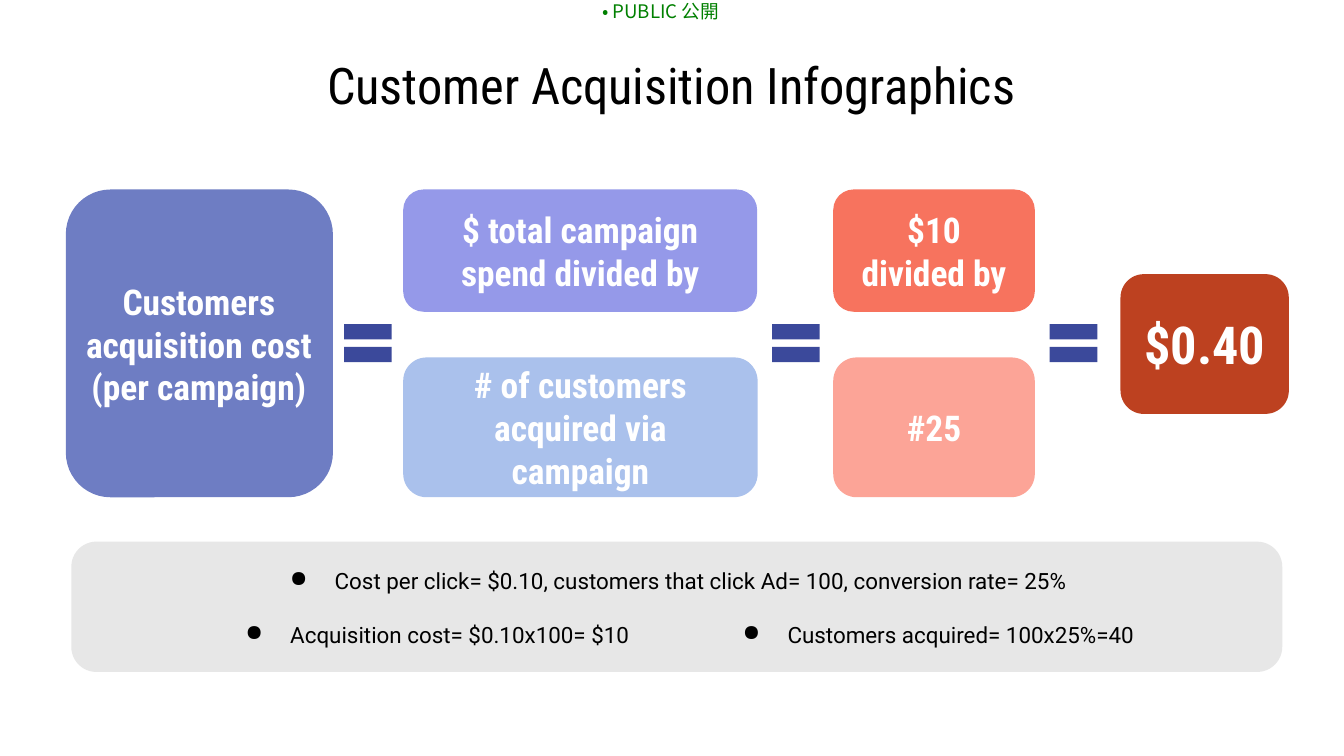
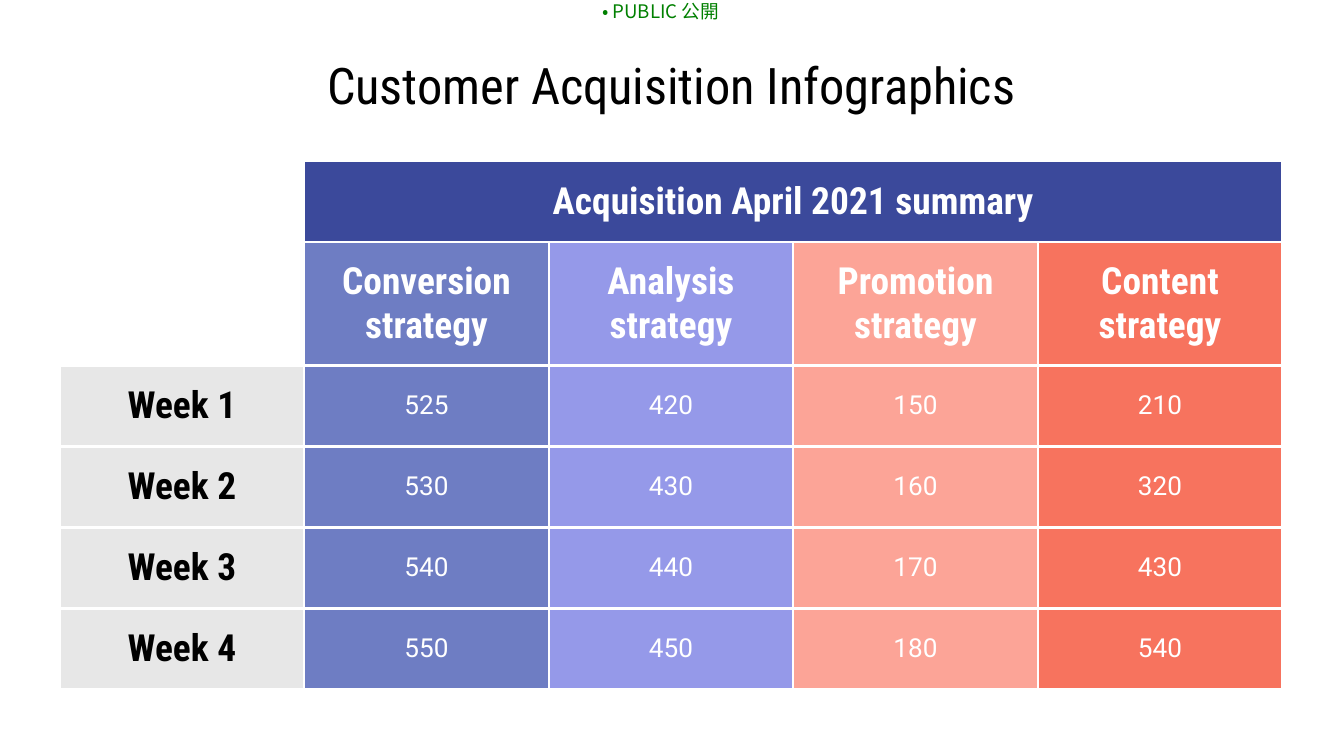
from typing import NamedTuple

from pptx import Presentation
from pptx.dml.color import RGBColor
from pptx.enum import shapes as es, text as et
from pptx.oxml import ns, xmlchemy as xc
from pptx.util import Pt

HEAD, BODY, CJK = "Roboto Condensed", "Roboto", "Noto Sans CJK JP"
BLACK, WHITE, GRAY, GREEN = "000000", "FFFFFF", "E7E7E7", "008000"
NAVY, BLUE, LILAC, SKY = "3B499B", "6E7DC3", "9599E9", "AAC1EC"
PINK, CORAL, RUST = "FCA497", "F7735E", "BD4120"
TITLE = "Customer Acquisition Infographics"


class Box(NamedTuple):
    x: float
    y: float
    w: float
    h: float


class Style(NamedTuple):
    face: str
    size: float
    hue: str
    bold: bool = False


class Card(NamedTuple):
    box: Box
    fill: str
    words: str = ""
    size: float = 19
    round: float = 0.167


class Note(NamedTuple):
    box: Box
    words: str


def color(code: str) -> RGBColor:
    return RGBColor.from_string(code)


def place(box: Box) -> list:
    return [Pt(n) for n in box]


def add_run(para, words: str, style: Style) -> None:
    run = para.add_run()
    run.text = words
    font = run.font
    font.name, font.size, font.bold = style.face, Pt(style.size), style.bold
    font.color.rgb = color(style.hue)
    if style.face == CJK:
        xc.OxmlElement("a:ea")
        east = run._r.get_or_add_rPr().makeelement(ns.qn("a:ea"), {"typeface": CJK})
        run._r.rPr.find(ns.qn("a:latin")).addnext(east)


def set_frame(frame, left: float = 7.2, right: float = 7.2, edge: float = 7.2) -> None:
    frame.word_wrap = True
    frame.auto_size = et.MSO_AUTO_SIZE.NONE
    frame.vertical_anchor = et.MSO_ANCHOR.MIDDLE
    frame.margin_left, frame.margin_right = Pt(left), Pt(right)
    frame.margin_top = frame.margin_bottom = Pt(edge)


def write(frame, words: str, style: Style) -> None:
    para = frame.paragraphs[0]
    para.alignment = et.PP_ALIGN.CENTER
    add_run(para, words, style)


def add_text(slide, box: Box, words: str, style: Style) -> None:
    frame = slide.shapes.add_textbox(*place(box)).text_frame
    set_frame(frame)
    write(frame, words, style)


def add_shape(slide, kind, box: Box, fill: str):
    shape = slide.shapes.add_shape(kind, *place(box))
    shape.shadow.inherit = False
    shape.fill.solid()
    shape.fill.fore_color.rgb = color(fill)
    shape.line.fill.background()
    return shape


def add_card(slide, card: Card) -> None:
    shape = add_shape(slide, es.MSO_SHAPE.ROUNDED_RECTANGLE, card.box, card.fill)
    shape.adjustments[0] = card.round
    if card.words:
        set_frame(shape.text_frame)
        write(shape.text_frame, card.words, Style(HEAD, card.size, WHITE, True))


def add_note(slide, note: Note) -> None:
    frame = slide.shapes.add_textbox(*place(note.box)).text_frame
    set_frame(frame, 14.4, 10.8)
    para = frame.paragraphs[0]
    props = para._p.get_or_add_pPr()
    props.set("marL", str(Pt(36)))
    props.set("indent", str(Pt(-24)))
    hue = props.makeelement(ns.qn("a:buClr"), {})
    hue.append(hue.makeelement(ns.qn("a:srgbClr"), {"val": BLACK}))
    props.append(hue)
    props.append(props.makeelement(ns.qn("a:buChar"), {"char": "●"}))
    add_run(para, note.words, Style(BODY, 12, BLACK))


def add_slide(deck):
    slide = deck.slides.add_slide(deck.slide_layouts[5])
    label = slide.shapes.add_textbox(*place(Box(321.8, 0, 64.1, 12.2))).text_frame
    set_frame(label, 0, 0, 0)
    label.vertical_anchor = et.MSO_ANCHOR.TOP
    write(label, "• PUBLIC 公開", Style(CJK, 10, GREEN))
    title = slide.shapes.title
    title.left, title.top, title.width, title.height = place(Box(35.3, 32.4, 648.7, 25.9))
    set_frame(title.text_frame)
    write(title.text_frame, TITLE, Style(HEAD, 27, BLACK))
    return slide


def draw_cost(deck) -> None:
    slide = add_slide(deck)
    top, low, high, deep = 101.5, 191.5, 65.5, 74.9
    mid = 146.9
    cards = [
        Card(Box(38.2, 290.2, 648.7, 69.8), GRAY, round=0.192),
        Card(Box(216, top, 189.6, high), LILAC, "$ total campaign spend divided by"),
        Card(Box(216, low, 189.9, deep), SKY, "# of customers acquired via campaign"),
        Card(Box(446.4, top, 108, high), CORAL, "$10 divided by"),
        Card(Box(446.4, low, 108, deep), PINK, "#25"),
        Card(Box(35.3, top, 143.1, 164.9), BLUE),
        Card(Box(600.3, mid, 90.2, deep), RUST, "$0.40", 28),
    ]
    for card in cards:
        add_card(slide, card)
    add_text(slide, Box(29.5, mid, 154.1, deep),
             "Customers acquisition cost (per campaign)", Style(HEAD, 19, WHITE, True))
    for x in (179.8, 409, 557.8):
        add_shape(slide, es.MSO_SHAPE.MATH_EQUAL, Box(x, 166.5, 34.6, 34.6), NAVY)
    notes = [
        Note(Box(128.9, 298.1, 467.3, 25.9),
             "Cost per click= $0.10, customers that click Ad= 100, conversion rate= 25%"),
        Note(Box(105.1, 326.9, 249.1, 25.9), "Acquisition cost= $0.10x100= $10"),
        Note(Box(371.5, 326.9, 249.1, 25.9), "Customers acquired= 100x25%=40"),
    ]
    for note in notes:
        add_note(slide, note)


def add_edges(cell) -> None:
    props = cell._tc.get_or_add_tcPr()
    for side in ("lnL", "lnR", "lnT", "lnB"):
        line = props.makeelement(ns.qn(f"a:{side}"), {"w": str(Pt(1.5))})
        fill = line.makeelement(ns.qn("a:solidFill"), {})
        fill.append(fill.makeelement(ns.qn("a:srgbClr"), {"val": WHITE}))
        line.append(fill)
        props.append(line)


def fill_cell(cell, words: str, fill: str, style: Style) -> None:
    cell.fill.solid()
    cell.fill.fore_color.rgb = color(fill)
    cell.vertical_anchor = et.MSO_ANCHOR.MIDDLE
    cell.margin_left = cell.margin_right = Pt(7.2)
    cell.margin_top = cell.margin_bottom = Pt(7.2)
    write(cell.text_frame, words, style)


def draw_weeks(deck) -> None:
    slide = add_slide(deck)
    plans = [("Conversion", BLUE, 525, 10), ("Analysis", LILAC, 420, 10),
             ("Promotion", PINK, 150, 10), ("Content", CORAL, 210, 110)]
    weeks = 4
    rows = [43.4, 66] + [43.4] * weeks
    frame = slide.shapes.add_table(len(rows), len(plans) + 1,
                                   *place(Box(32, 86.4, 655, sum(rows))))
    table = frame.table
    table.first_row = table.horz_banding = False
    for col in table.columns:
        col.width = Pt(131)
    for row, high in zip(table.rows, rows):
        row.height = Pt(high)
    for cell in table.iter_cells():
        add_edges(cell)
        cell.fill.background()
    table.cell(0, 0).merge(table.cell(1, 0))
    table.cell(0, 1).merge(table.cell(0, len(plans)))
    head = Style(HEAD, 20, WHITE, True)
    fill_cell(table.cell(0, 1), "Acquisition April 2021 summary", NAVY, head)
    for week in range(weeks):
        fill_cell(table.cell(week + 2, 0), f"Week {week + 1}", GRAY,
                  head._replace(hue=BLACK))
    for col, (name, fill, start, step) in enumerate(plans, 1):
        fill_cell(table.cell(1, col), f"{name} strategy", fill, head)
        for week in range(weeks):
            count = start + step * week
            if name == "Conversion" and week:
                count = 520 + step * week
            fill_cell(table.cell(week + 2, col), str(count), fill, Style(BODY, 14, WHITE))


def main() -> None:
    deck = Presentation()
    deck.slide_width, deck.slide_height = Pt(720), Pt(405)
    draw_cost(deck)
    draw_weeks(deck)
    deck.save("out.pptx")


if __name__ == "__main__":
    main()
